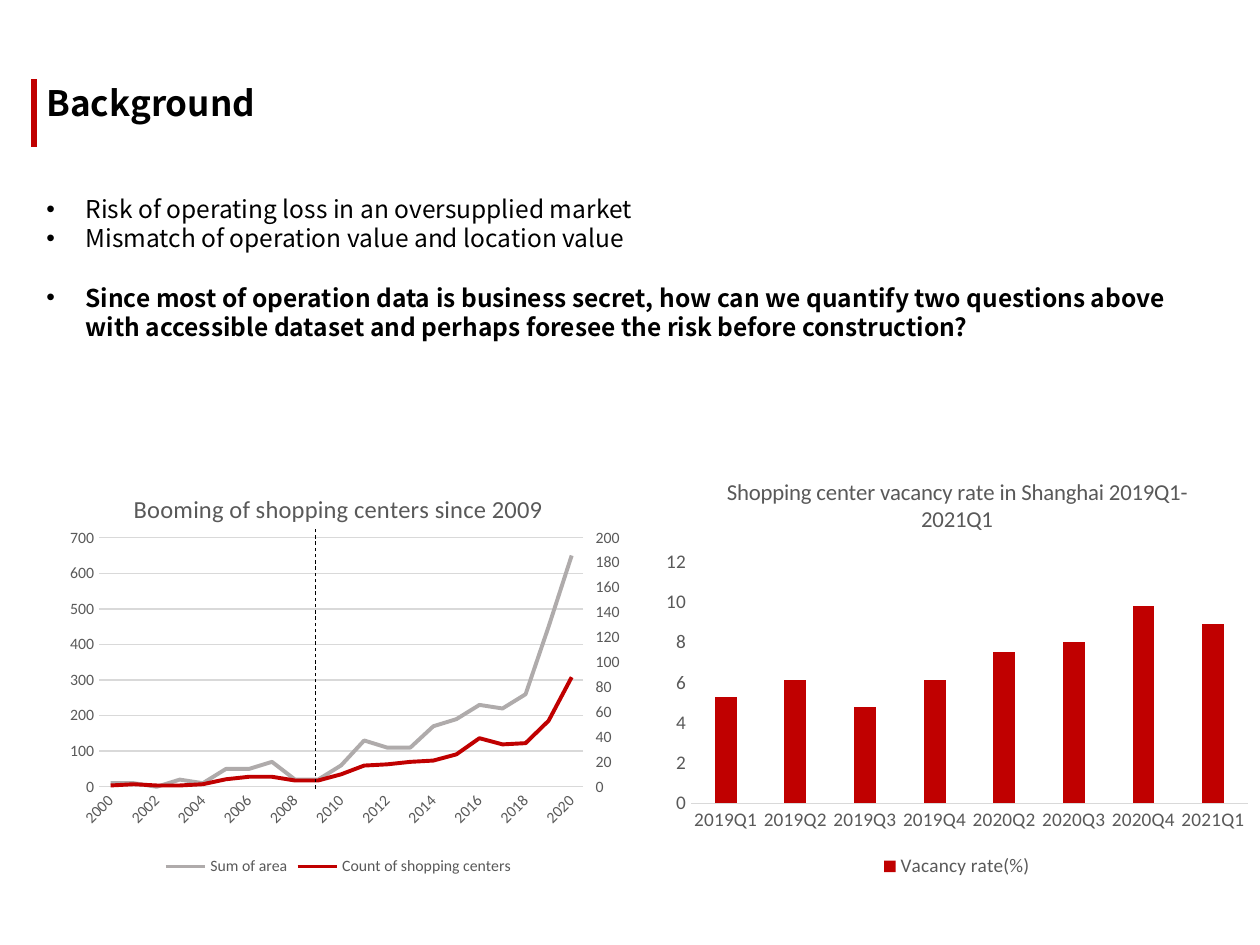
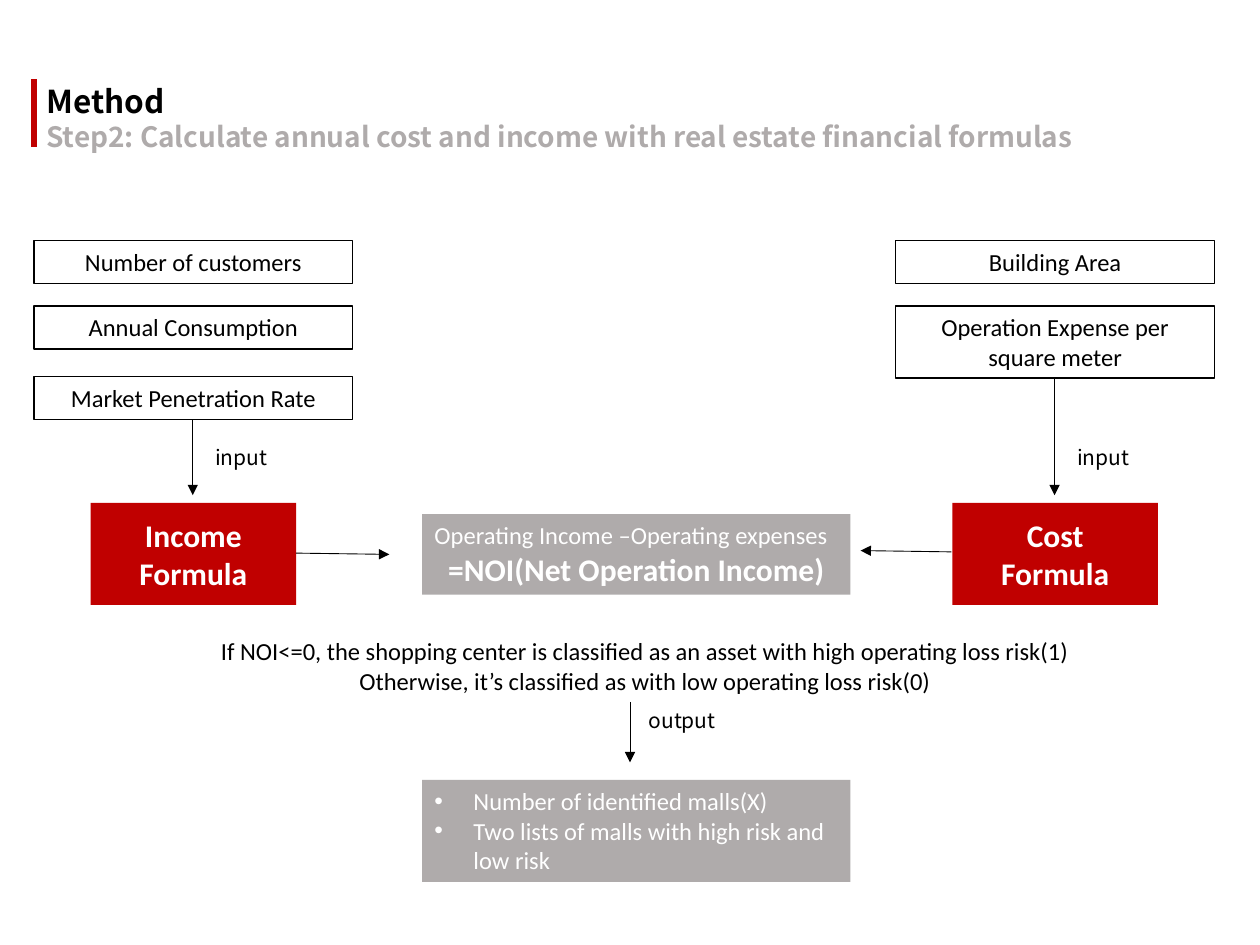
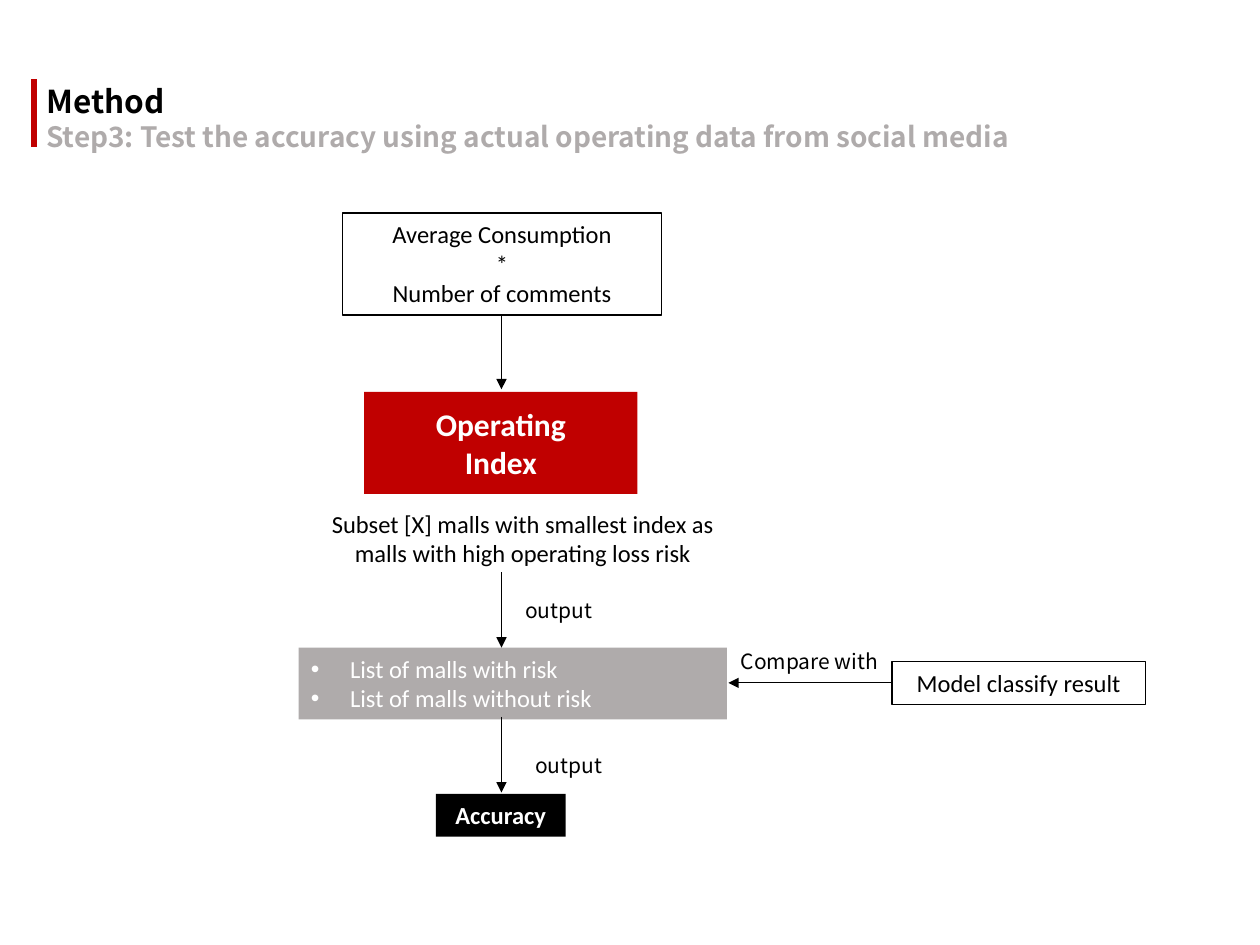
from copy import deepcopy
from dataclasses import dataclass, field
from typing import Any

from lxml.etree import SubElement
from pptx import Presentation
from pptx.chart.data import CategoryChartData
from pptx.dml.color import RGBColor
from pptx.enum.chart import XL_CHART_TYPE, XL_LEGEND_POSITION, XL_TICK_MARK
from pptx.enum.dml import MSO_LINE
from pptx.enum.shapes import MSO_CONNECTOR, MSO_SHAPE
from pptx.enum.text import MSO_ANCHOR, MSO_AUTO_SIZE, PP_ALIGN
from pptx.oxml import parse_xml
from pptx.oxml.ns import nsdecls, qn
from pptx.util import Inches, Pt

RED = RGBColor(0xC0, 0x00, 0x00)
GREY = RGBColor(0xAF, 0xAB, 0xAB)
BLACK = RGBColor(0x00, 0x00, 0x00)
WHITE = RGBColor(0xFF, 0xFF, 0xFF)
AXIS_TEXT = RGBColor(0x59, 0x59, 0x59)
GRID = RGBColor(0xD9, 0xD9, 0xD9)
SANS = "Noto Sans CJK SC"
CALIBRI = "Calibri"


@dataclass(frozen=True)
class Look:
    size: float = 14
    colour: RGBColor = BLACK
    face: str = CALIBRI
    bold: bool = False
    fill: RGBColor | None = None
    outline: RGBColor | None = None
    align: PP_ALIGN = PP_ALIGN.LEFT
    anchor: MSO_ANCHOR = MSO_ANCHOR.TOP
    grow: bool = True
    bullet: bool = False


@dataclass(frozen=True)
class Line:
    text: str
    font: dict[str, Any] = field(default_factory=dict)
    paragraph: dict[str, Any] = field(default_factory=dict)


@dataclass(frozen=True)
class Block:
    left: float
    top: float
    width: float
    height: float
    lines: list[Line | str]
    look: Look


@dataclass(frozen=True)
class Arrow:
    start: tuple[float, float]
    end: tuple[float, float]


CENTER = PP_ALIGN.CENTER
TITLE = Look(18, face=SANS, bold=True)
BODY = Look(face=SANS, bullet=True)
LABEL = Look(12, face=SANS)
NOTE = Look(align=CENTER)
INPUT = Look(outline=BLACK, align=CENTER)
FORMULA = Look(18, WHITE, bold=True, fill=RED, align=CENTER, anchor=MSO_ANCHOR.MIDDLE, grow=False)
RESULT = Look(colour=WHITE, fill=GREY)
RESULT_LIST = Look(colour=WHITE, fill=GREY, bullet=True)
FINAL = Look(colour=WHITE, bold=True, fill=BLACK, align=CENTER)


def apply(target: Any, values: dict[str, Any]) -> None:
    for name, value in values.items():
        setattr(target, name, value)


def style_font(font: Any, size: float, colour: RGBColor, face: str = CALIBRI, bold: bool = False) -> None:
    apply(font, {"size": Pt(size), "name": face, "bold": bold})
    font.color.rgb = colour


def add_bullet(para: Any) -> None:
    properties = para._p.get_or_add_pPr()
    apply_indent = {"marL": Inches(0.31), "indent": -Inches(0.31)}
    for name, value in apply_indent.items():
        properties.set(name, str(value))
    SubElement(properties, qn("a:buFont")).set("typeface", "Arial")
    SubElement(properties, qn("a:buChar")).set("char", "•")


def add_block(page: Any, block: Block) -> None:
    look = block.look
    place = [Inches(value) for value in (block.left, block.top, block.width, block.height)]
    if look.fill is None and look.outline is None:
        box = page.shapes.add_textbox(*place)
    else:
        box = page.shapes.add_shape(MSO_SHAPE.RECTANGLE, *place)
        box.shadow.inherit = False
        if look.fill is None:
            box.fill.background()
        else:
            box.fill.solid()
            box.fill.fore_color.rgb = look.fill
        if look.outline is None:
            box.line.fill.background()
        else:
            box.line.color.rgb = look.outline
            box.line.width = Pt(0.75)
    frame = box.text_frame
    apply(frame, {
        "word_wrap": True,
        "vertical_anchor": look.anchor,
        "auto_size": MSO_AUTO_SIZE.SHAPE_TO_FIT_TEXT if look.grow else MSO_AUTO_SIZE.NONE,
    })
    for index, item in enumerate(block.lines):
        line = Line(item) if isinstance(item, str) else item
        para = frame.add_paragraph() if index else frame.paragraphs[0]
        apply(para, {"alignment": look.align} | line.paragraph)
        if look.bullet:
            add_bullet(para)
        span = para.add_run()
        span.text = line.text
        values = {"size": look.size, "colour": look.colour, "face": look.face, "bold": look.bold}
        style_font(span.font, **(values | line.font))


def add_line(page: Any, line: Arrow, colour: RGBColor = BLACK, width: float = 0.5) -> Any:
    ends = [Inches(value) for value in (*line.start, *line.end)]
    connector = page.shapes.add_connector(MSO_CONNECTOR.STRAIGHT, *ends)
    connector.line.color.rgb = colour
    connector.line.width = Pt(width)
    SubElement(connector._element.spPr, qn("a:effectLst"))
    return connector


def add_arrow(page: Any, arrow: Arrow) -> None:
    connector = add_line(page, arrow)
    SubElement(connector.line._get_or_add_ln(), qn("a:tailEnd")).set("type", "triangle")


def add_page(deck: Any, title: Line | str, subtitle: str = "") -> Any:
    page = deck.slides.add_slide(deck.slide_layouts[6])
    lines = [title, Line(subtitle, {"size": 16, "colour": GREY})] if subtitle else [title]
    add_block(page, Block(0.27, 0.6, 9.36, 0.67 if subtitle else 0.44, lines, TITLE))
    add_line(page, Arrow((0.27, 0.63), (0.27, 1.17)), RED, 3)
    return page


def add_flow(page: Any, blocks: list[Block], arrows: list[Arrow]) -> None:
    for block in blocks:
        add_block(page, block)
    for arrow in arrows:
        add_arrow(page, arrow)


def add_styled_chart(page: Any, kind: Any, place: tuple[float, ...], title: str, title_size: float,
                     size: float, names: list[str], series: dict[str, list[float]]) -> Any:
    data = CategoryChartData()
    data.categories = names
    for name, values in series.items():
        data.add_series(name, values)
    chart = page.shapes.add_chart(kind, *[Inches(value) for value in place], data).chart
    style_font(chart.font, size, AXIS_TEXT)
    chart.has_title = True
    chart.chart_title.text_frame.text = title
    style_font(chart.chart_title.text_frame.paragraphs[0].runs[0].font, title_size, AXIS_TEXT)
    chart.has_legend = True
    apply(chart.legend, {"position": XL_LEGEND_POSITION.BOTTOM, "include_in_layout": False})
    style_font(chart.legend.font, size, AXIS_TEXT)
    chart.plots[0].vary_by_categories = False
    for axis in (chart.category_axis, chart.value_axis):
        apply(axis, {"major_tick_mark": XL_TICK_MARK.NONE, "minor_tick_mark": XL_TICK_MARK.NONE})
        style_font(axis.tick_labels.font, size, AXIS_TEXT)
    chart.category_axis.format.line.color.rgb = GRID
    chart.category_axis.format.line.width = Pt(0.75)
    chart.value_axis.format.line.fill.background()
    return chart


def move_last_series_right(chart: Any, maximum: int) -> None:
    area = chart._chartSpace.chart.plotArea
    left_plot = area.find(qn("c:lineChart"))
    right_plot = deepcopy(left_plot)
    left_plot.remove(left_plot.findall(qn("c:ser"))[-1])
    right_plot.remove(right_plot.find(qn("c:ser")))
    left_plot.addnext(right_plot)
    category, value = deepcopy(area.find(qn("c:catAx"))), deepcopy(area.find(qn("c:valAx")))
    for reference, number in zip(right_plot.findall(qn("c:axId")), ("5001", "5002")):
        reference.set("val", number)
    for axis, number, crossing in ((category, "5001", "5002"), (value, "5002", "5001")):
        axis.find(qn("c:axId")).set("val", number)
        axis.find(qn("c:crossAx")).set("val", crossing)
    category.find(qn("c:delete")).set("val", "1")
    value.remove(value.find(qn("c:majorGridlines")))
    value.find(qn("c:axPos")).set("val", "r")
    value.find(qn("c:majorTickMark")).set("val", "out")
    value.find(qn("c:crosses")).set("val", "max")
    SubElement(value.find(qn("c:scaling")), qn("c:max")).set("val", str(maximum))
    area.findall(qn("c:valAx"))[-1].addnext(value)
    value.addnext(category)


def set_plot_layout(chart: Any, left: float, top: float, width: float, height: float) -> None:
    area = chart._chartSpace.chart.plotArea
    for old in area.findall(qn("c:layout")):
        area.remove(old)
    area.insert(0, parse_xml(
        f'<c:layout {nsdecls("c")}><c:manualLayout><c:layoutTarget val="inner"/>'
        '<c:xMode val="edge"/><c:yMode val="edge"/>'
        f'<c:x val="{left}"/><c:y val="{top}"/><c:w val="{width}"/><c:h val="{height}"/>'
        '</c:manualLayout></c:layout>'))


def build_background(deck: Any) -> None:
    page = add_page(deck, Line("Background", {"size": 20}))
    boom = add_styled_chart(
        page, XL_CHART_TYPE.LINE, (0.37, 3.75, 4.63, 3.24),
        "Booming of shopping centers since 2009", 14, 9, [str(year) for year in range(2000, 2021)],
        {"Sum of area": [10, 10, 0, 20, 10, 50, 50, 70, 20, 20, 60, 130, 110, 110, 170, 190,
                         230, 220, 260, 450, 650],
         "Count of shopping centers": [1, 2, 1, 1, 2, 6, 8, 8, 5, 5, 10, 17, 18, 20, 21, 26,
                                       39, 34, 35, 53, 88]})
    for series, colour in zip(boom.plots[0].series, (GREY, RED)):
        series.smooth = False
        series.format.line.color.rgb = colour
        series.format.line.width = Pt(2.25)
    boom.value_axis.major_gridlines.format.line.color.rgb = GRID
    boom.value_axis.major_gridlines.format.line.width = Pt(0.75)
    boom.category_axis._element.txPr.bodyPr.set("rot", "-2700000")
    move_last_series_right(boom, 200)
    set_plot_layout(boom, 0.09, 0.16, 0.83, 0.61)
    add_line(page, Arrow((2.5, 6.26), (2.5, 4.2))).line.dash_style = MSO_LINE.DASH
    add_block(page, Block(0.27, 1.49, 9.49, 1.51, [
        "Risk of operating loss in an oversupplied market",
        "Mismatch of operation value and location value",
        Line("Since most of operation data is business secret, how can we quantify two questions above "
             "with accessible dataset and perhaps foresee the risk before construction?",
             {"bold": True}, {"space_before": Pt(17)}),
    ], BODY))
    vacancy = add_styled_chart(
        page, XL_CHART_TYPE.COLUMN_CLUSTERED, (5.19, 3.63, 4.81, 3.38),
        "Shopping center vacancy rate in Shanghai 2019Q1-2021Q1", 13, 11,
        ["2019Q1", "2019Q2", "2019Q3", "2019Q4", "2020Q2", "2020Q3", "2020Q4", "2021Q1"],
        {"Vacancy rate(%)": [5.3, 6.1, 4.8, 6.1, 7.5, 8, 9.8, 8.9]})
    vacancy.value_axis.has_major_gridlines = False
    apply(vacancy.plots[0], {"gap_width": 219, "overlap": -27})
    bars = vacancy.plots[0].series[0].format.fill
    bars.solid()
    bars.fore_color.rgb = RED


def build_formulas(deck: Any) -> None:
    page = add_page(deck, "Method",
                    "Step2: Calculate annual cost and income with real estate financial formulas")
    blocks = [
        Block(1.61, 5, 7.02, 0.57, [
            "If NOI<=0, the shopping center is classified as an asset with high operating loss risk(1)",
            "Otherwise, it’s classified as with low operating loss risk(0)"], NOTE),
        Block(3.35, 4.08, 3.4, 0.64, [
            "Operating Income –Operating expenses",
            Line("=NOI(Net Operation Income)", {"size": 18, "bold": True}, {"alignment": CENTER})], RESULT),
        Block(3.35, 6.19, 3.4, 0.81, [
            "Number of identified malls(X)", "Two lists of malls with high risk and low risk"], RESULT_LIST),
        Block(5.05, 5.57, 0.93, 0.3, ["output"], LABEL),
    ]
    arrows = [Arrow((2.35, 4.39), (3.09, 4.4)), Arrow((7.55, 4.38), (6.83, 4.37)),
              Arrow((5, 5.57), (5, 6.05))]
    sides = [
        (0.27, "Income", [(1.91, 0.34, "Number of customers"), (2.43, 0.34, "Annual Consumption"),
                          (2.99, 0.34, "Market Penetration Rate")]),
        (7.11, "Cost", [(1.91, 0.34, "Building Area"), (2.43, 0.57, "Operation Expense per square meter")]),
    ]
    for left, name, inputs in sides:
        for top, height, text in inputs:
            blocks.append(Block(left, top, 2.53, height, [text], INPUT))
        blocks.append(Block(left + 0.45, 3.99, 1.63, 0.81, [name, "Formula"], FORMULA))
        blocks.append(Block(left + 1.34, 3.48, 0.93, 0.3, ["input"], LABEL))
        middle = left + 1.26
        arrows.append(Arrow((middle, top + height), (middle, 3.93)))
    add_flow(page, blocks, arrows)


def build_accuracy(deck: Any) -> None:
    page = add_page(deck, "Method", "Step3: Test the accuracy using actual operating data from social media")
    middle = 3.98
    add_flow(page, [
        Block(2.72, 1.69, 2.53, 0.81, ["Average Consumption", "*", "Number of comments"], INPUT),
        Block(2.89, 3.11, 2.17, 0.81, ["Operating", "Index"], FORMULA),
        Block(2.45, 3.99, 3.4, 0.57, [
            "Subset [X] malls with smallest index as malls with high operating loss risk"], NOTE),
        Block(2.37, 5.14, 3.4, 0.57, ["List of malls with risk", "List of malls without risk"], RESULT_LIST),
        Block(4.07, 4.69, 0.93, 0.3, ["output"], LABEL),
        Block(7.08, 5.25, 2.01, 0.34, ["Model classify result"], INPUT),
        Block(3.46, 6.3, 1.03, 0.34, ["Accuracy"], FINAL),
        Block(5.78, 5.1, 1.52, 0.3, ["Compare with"], LABEL),
        Block(4.15, 5.92, 0.93, 0.3, ["output"], LABEL),
    ], [Arrow((middle, top), (middle, bottom)) for top, bottom in ((2.5, 3.09), (4.54, 5.14), (5.69, 6.29))]
        + [Arrow((7.08, 5.42), (5.78, 5.42))])


def main() -> None:
    deck = Presentation()
    apply(deck, {"slide_width": Inches(10), "slide_height": Inches(7.5)})
    build_background(deck)
    build_formulas(deck)
    build_accuracy(deck)
    deck.save("out.pptx")


if __name__ == "__main__":
    main()
